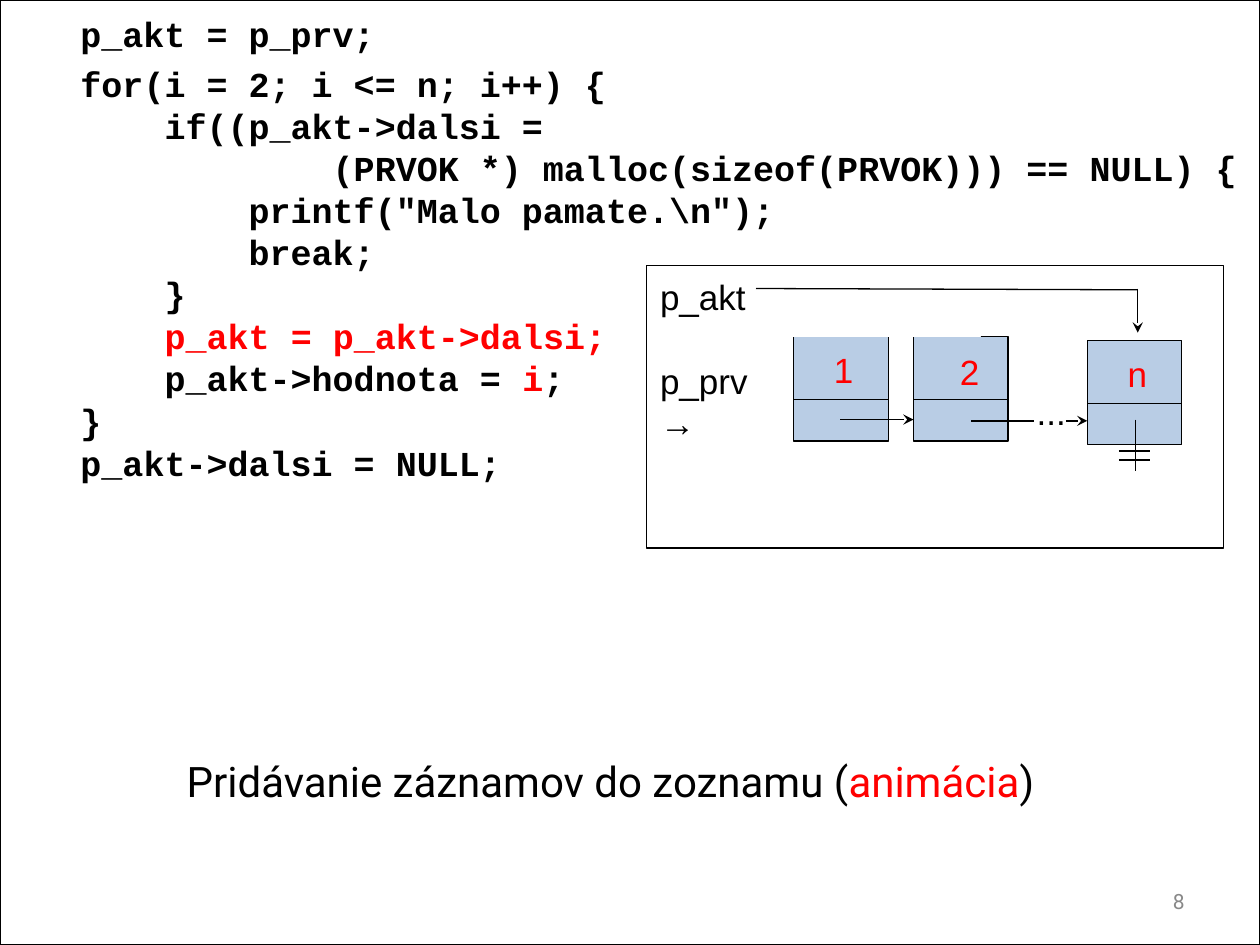
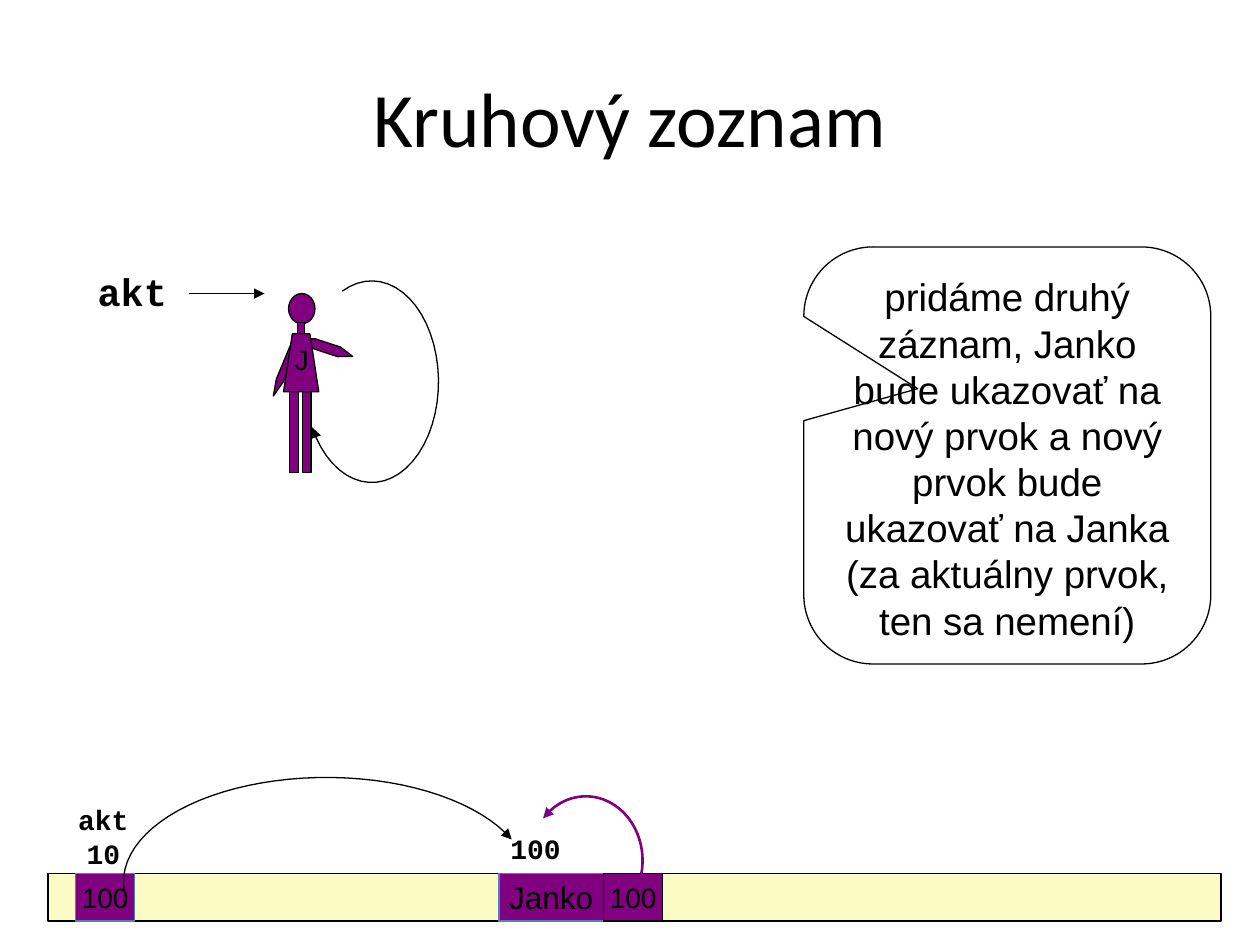
import math
from dataclasses import dataclass

import pptx
import pptx.dml.color
import pptx.enum.shapes
import pptx.enum.text
import pptx.oxml
import pptx.oxml.ns
import pptx.util

PX = 9144
BLACK, WHITE, RED = "000000", "FFFFFF", "FF0000"
PALE_BLUE, EDGE_BLUE = "B9CDE5", "4F81BD"
PURPLE, CREAM, GREY = "800080", "FBFBC5", "898989"
SHAPE = pptx.enum.shapes.MSO_SHAPE
ALIGN = pptx.enum.text.PP_ALIGN
ANCHOR = pptx.enum.text.MSO_ANCHOR


@dataclass(frozen=True)
class Box:
    left: int
    top: int
    width: int
    height: int

    def emu(self) -> list[int]:
        return [value * PX for value in (self.left, self.top, self.width, self.height)]


@dataclass(frozen=True)
class Run:
    text: str
    color: str = BLACK


@dataclass(frozen=True)
class Style:
    font: str
    size: int
    bold: bool = False
    align: ALIGN = ALIGN.LEFT
    anchor: ANCHOR = ANCHOR.TOP
    wrap: bool = True
    space_before: int = 0


@dataclass(frozen=True)
class Link:
    start: tuple[int, int]
    end: tuple[int, int]
    width: float = 0.75
    head: str = ""


@dataclass(frozen=True)
class Node:
    left: int
    top: int
    label: str
    label_box: Box


@dataclass(frozen=True)
class BodyPart:
    kind: SHAPE
    box: Box
    rotation: float = 0
    adjustment: float | None = None


@dataclass(frozen=True)
class Cell:
    box: Box
    edge: str
    text: str
    size: int


@dataclass(frozen=True)
class Arc:
    center: tuple[int, int]
    radii: tuple[int, int]
    start: int
    end: int
    color: str = BLACK
    width: float = 0.75


CODE = Style("Courier New", 20, bold=True, wrap=False)
DIAGRAM = Style("Arial", 20, wrap=False)
CODE_LINES = [
    [Run("for(i = 2; i <= n; i++) {")],
    [Run("    if((p_akt->dalsi =")],
    [Run("            (PRVOK *) malloc(sizeof(PRVOK))) == NULL) {")],
    [Run('        printf("Malo pamate.\\n");')],
    [Run("        break;")],
    [Run("    }")],
    [Run("    "), Run("p_akt = p_akt->dalsi;", RED)],
    [Run("    p_akt->hodnota = "), Run("i", RED), Run(";")],
    [Run("}")],
    [Run("p_akt->dalsi = NULL;")],
]
NODES = [
    Node(630, 267, "1", Box(652, 272, 35, 44)),
    Node(725, 267, "2", Box(752, 273, 33, 44)),
    Node(863, 270, "n", Box(885, 275, 35, 44)),
]
LIST_LINKS = [
    Link((667, 333), (725, 333), 1, "stealth"),
    Link((771, 334), (821, 334), 1),
    Link((846, 334), (863, 334), 1, "stealth"),
    Link((901, 333), (901, 374)),
    Link((888, 358), (913, 358)),
    Link((888, 365), (913, 365)),
    Link((903, 229), (903, 264), 0.75, "stealth"),
    Link((600, 229), (903, 230)),
]
BODY_PARTS = [
    BodyPart(SHAPE.HEXAGON, Box(200, 286, 55, 6), 292.6, 2.26),
    BodyPart(SHAPE.HEXAGON, Box(237, 272, 44, 8), 18.3, 1.43),
    BodyPart(SHAPE.OVAL, Box(229, 233, 21, 24)),
    BodyPart(SHAPE.RECTANGLE, Box(230, 306, 7, 69)),
    BodyPart(SHAPE.RECTANGLE, Box(240, 306, 7, 69)),
    BodyPart(SHAPE.RECTANGLE, Box(236, 256, 6, 10)),
]
DRESS = [(225, 311), (232, 265), (246, 265), (253, 311)]
MEMORY_CELLS = [
    Cell(Box(60, 693, 47, 38), EDGE_BLUE, "100", 16),
    Cell(Box(396, 693, 83, 38), EDGE_BLUE, "Janko", 18),
    Cell(Box(479, 693, 47, 38), BLACK, "100", 16),
]
ARCS = [
    Arc((259, 700), (161, 83), 175, 336),
    Arc((465, 683), (45, 51), 13, -139, PURPLE, 1.5),
    Arc((295, 303), (53, 80), 244, 513),
]


def rgb(color: str) -> pptx.dml.color.RGBColor:
    return pptx.dml.color.RGBColor.from_string(color)


def write(frame, lines: list[list[Run]], style: Style, margin: int = 10) -> None:
    frame.word_wrap = style.wrap
    frame.vertical_anchor = style.anchor
    frame.margin_left = frame.margin_right = margin * PX
    frame.margin_top = frame.margin_bottom = 5 * PX
    for index, runs in enumerate(lines):
        paragraph = frame.add_paragraph() if index else frame.paragraphs[0]
        paragraph.alignment = style.align
        paragraph.space_before = pptx.util.Pt(style.space_before if index else 0)
        for item in runs:
            run = paragraph.add_run()
            run.text = item.text
            run.font.name = style.font
            run.font.size = pptx.util.Pt(style.size)
            run.font.bold = style.bold
            run.font.color.rgb = rgb(item.color)


def add_text(slide, box: Box, lines: list[list[Run]], style: Style, margin: int = 10) -> None:
    write(slide.shapes.add_textbox(*box.emu()).text_frame, lines, style, margin)


def paint(shape, fill: str | None, edge: str = BLACK, width: float = 0.75) -> None:
    shape.shadow.inherit = False
    if fill:
        shape.fill.solid()
        shape.fill.fore_color.rgb = rgb(fill)
    else:
        shape.fill.background()
    shape.line.color.rgb = rgb(edge)
    shape.line.width = pptx.util.Pt(width)


def add_shape(slide, kind: SHAPE, box: Box, fill: str, edge: str = BLACK):
    shape = slide.shapes.add_shape(kind, *box.emu())
    paint(shape, fill, edge)
    return shape


def add_head(line, head: str) -> None:
    tail = pptx.oxml.parse_xml(f'<a:tailEnd {pptx.oxml.ns.nsdecls("a")} type="{head}"/>')
    line.get_or_change_to_solidFill = None
    line.append(tail)


def set_head(shape, head: str) -> None:
    tail = pptx.oxml.parse_xml(f'<a:tailEnd {pptx.oxml.ns.nsdecls("a")} type="{head}"/>')
    shape.line._get_or_add_ln().append(tail)


def add_link(slide, link: Link) -> None:
    ends = [value * PX for value in (*link.start, *link.end)]
    connector = slide.shapes.add_connector(pptx.enum.shapes.MSO_CONNECTOR.STRAIGHT, *ends)
    connector.line.color.rgb = rgb(BLACK)
    connector.line.width = pptx.util.Pt(link.width)
    if link.head:
        set_head(connector, link.head)
    effects = pptx.oxml.parse_xml(f'<a:effectLst {pptx.oxml.ns.nsdecls("a")}/>')
    connector._element.spPr.append(effects)


def add_outline(slide, points: list[tuple[float, float]], close: bool):
    scaled = [(round(x * PX), round(y * PX)) for x, y in points]
    builder = slide.shapes.build_freeform(*scaled[0])
    builder.add_line_segments(scaled[1:], close=close)
    return builder.convert_to_shape()


def add_arc(slide, arc: Arc, steps: int = 40) -> None:
    angles = [math.radians(arc.start + (arc.end - arc.start) * step / steps)
              for step in range(steps + 1)]
    points = [(arc.center[0] + arc.radii[0] * math.cos(angle),
               arc.center[1] + arc.radii[1] * math.sin(angle)) for angle in angles]
    shape = add_outline(slide, points, close=False)
    paint(shape, None, arc.color, arc.width)
    set_head(shape, "triangle")


def add_node(slide, node: Node) -> None:
    add_shape(slide, SHAPE.RECTANGLE, Box(node.left, node.top, 75, 83), PALE_BLUE)
    divider = node.top + 50
    add_link(slide, Link((node.left, divider), (node.left + 75, divider)))
    add_text(slide, node.label_box, [[Run(node.label, RED)]], DIAGRAM)


def build_insertion_slide(presentation) -> None:
    slide = presentation.slides.add_slide(presentation.slide_layouts[6])
    add_shape(slide, SHAPE.RECTANGLE, Box(0, 0, 1000, 750), WHITE)
    add_text(slide, Box(54, 45, 1002, 377), CODE_LINES, CODE)
    add_text(slide, Box(54, 5, 270, 44), [[Run("p_akt = p_prv;")]], CODE)
    add_shape(slide, SHAPE.RECTANGLE, Box(513, 211, 458, 224), WHITE)
    pointers = Style("Arial", 20, space_before=24)
    add_text(slide, Box(514, 214, 120, 144), [[Run("p_akt")], [Run("p_prv →")]], pointers)
    for node in NODES:
        add_node(slide, node)
    add_text(slide, Box(813, 305, 43, 44), [[Run("...")]], DIAGRAM)
    add_shape(slide, SHAPE.RECTANGLE, Box(600, 217, 178, 50), WHITE, WHITE)
    for link in LIST_LINKS:
        add_link(slide, link)
    number = Style("Roboto", 12, align=ALIGN.RIGHT, anchor=ANCHOR.MIDDLE)
    add_text(slide, Box(717, 695, 233, 40), [[Run("8", GREY)]], number)
    caption = [Run("Pridávanie záznamov do zoznamu ("), Run("animácia", RED), Run(")")]
    add_text(slide, Box(106, 595, 757, 50), [caption], Style("Roboto", 24, align=ALIGN.CENTER))


def build_circular_slide(presentation) -> None:
    slide = presentation.slides.add_slide(presentation.slide_layouts[5])
    title = slide.shapes.title
    title.left, title.top, title.width, title.height = Box(50, 30, 900, 125).emu()
    heading = Style("Calibri", 44, align=ALIGN.CENTER, anchor=ANCHOR.MIDDLE)
    write(title.text_frame, [[Run("Kruhový zoznam")]], heading)

    for part in BODY_PARTS:
        shape = add_shape(slide, part.kind, part.box, PURPLE)
        shape.rotation = part.rotation
        if part.adjustment is not None:
            shape.adjustments[0] = part.adjustment
    paint(add_outline(slide, DRESS, close=True), PURPLE)
    add_link(slide, Link((150, 233), (210, 233), 0.75, "triangle"))

    pointer = Style("Courier New", 22, bold=True, align=ALIGN.CENTER)
    address = Style("Courier New", 16, bold=True, align=ALIGN.CENTER, wrap=False)
    initial = Style("Arial", 16, align=ALIGN.CENTER, wrap=False)
    add_text(slide, Box(60, 208, 90, 46), [[Run("akt")]], pointer, 9)
    add_shape(slide, SHAPE.RECTANGLE, Box(38, 693, 931, 38), CREAM)
    for cell in MEMORY_CELLS:
        shape = add_shape(slide, SHAPE.RECTANGLE, cell.box, PURPLE, cell.edge)
        label = Style("Arial", cell.size, align=ALIGN.CENTER, anchor=ANCHOR.MIDDLE, wrap=False)
        write(shape.text_frame, [[Run(cell.text)]], label, 9)
    add_text(slide, Box(53, 632, 58, 62), [[Run("akt")], [Run("10")]], address, 9)
    add_text(slide, Box(396, 655, 58, 36), [[Run("100")]], address, 9)
    for arc in ARCS:
        add_arc(slide, arc)
    add_text(slide, Box(225, 267, 29, 36), [[Run("J")]], initial, 9)

    callout = add_shape(slide, SHAPE.ROUNDED_RECTANGULAR_CALLOUT, Box(638, 196, 323, 331), WHITE)
    for index, value in enumerate((-0.22, -0.16, 0.17)):
        callout.adjustments[index] = value
    message = ("pridáme druhý záznam, Janko bude ukazovať na nový prvok a nový prvok "
               "bude ukazovať na Janka (za aktuálny prvok, ten sa nemení)")
    write(callout.text_frame, [[Run(message)]], Style("Arial", 22, align=ALIGN.CENTER), 9)


def main() -> None:
    presentation = pptx.Presentation()
    presentation.slide_width, presentation.slide_height = 1000 * PX, 750 * PX
    build_insertion_slide(presentation)
    build_circular_slide(presentation)
    presentation.save("out.pptx")


if __name__ == "__main__":
    main()
